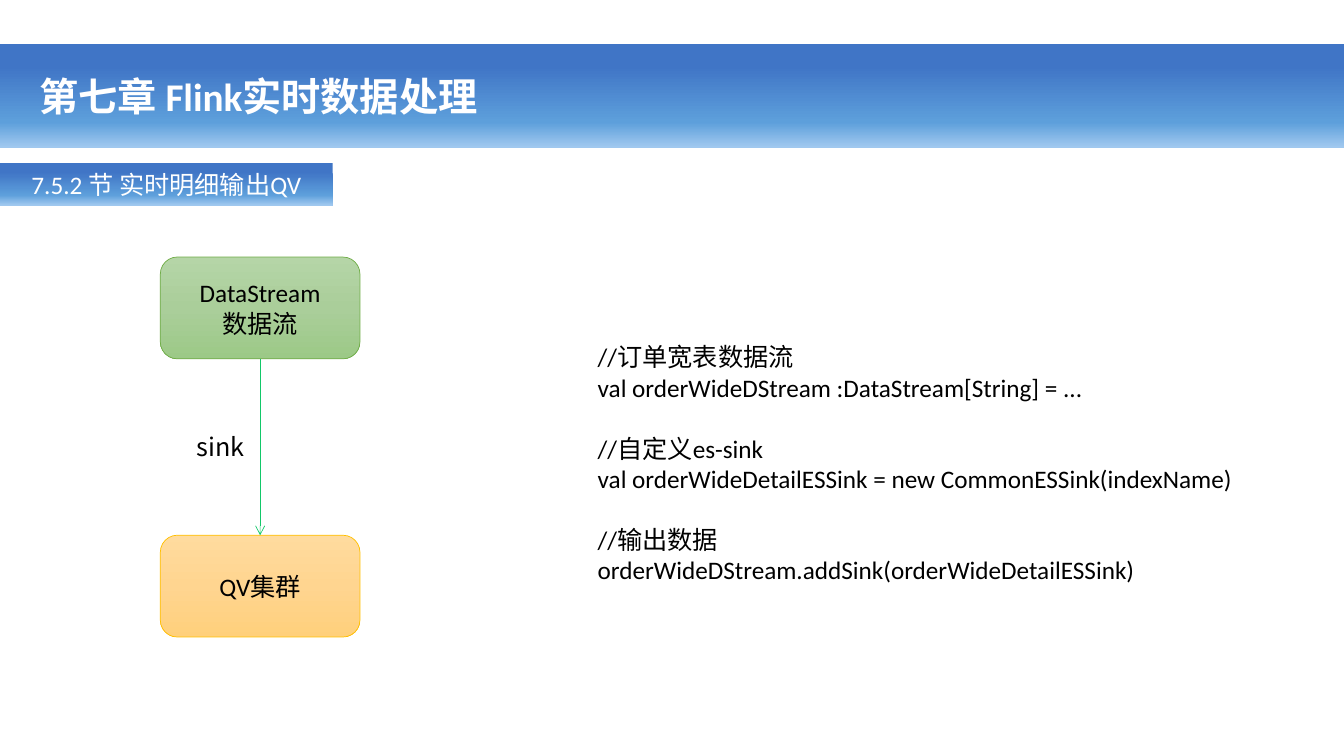
"""Build the slide on sending real-time order details from a stream to a cluster."""
from lxml import etree
from pptx import Presentation
from pptx.dml.color import RGBColor
from pptx.enum.shapes import MSO_CONNECTOR, MSO_SHAPE
from pptx.enum.text import MSO_ANCHOR, PP_ALIGN
from pptx.oxml.ns import qn
from pptx.util import Inches, Pt

RECT, ROUND = MSO_SHAPE.RECTANGLE, MSO_SHAPE.ROUNDED_RECTANGLE
STRAIGHT = MSO_CONNECTOR.STRAIGHT
LEFT, CENTER = PP_ALIGN.LEFT, PP_ALIGN.CENTER
TOP, MIDDLE = MSO_ANCHOR.TOP, MSO_ANCHOR.MIDDLE
LATIN, HAN = "Calibri", "Noto Sans CJK SC"
COLORS = {"white": "FFFFFF", "black": "000000", "arrow": "12C869",
          "green": "70AD47", "gold": "FFC000"}
BLENDS = {
    "blue": [(21, "4075C6"), (75, "5D9FDB"), (99, "A0C8EF")],
    "green": [(0, "B5D5A7"), (50, "AACE9A"), (100, "9CC987")],
    "gold": [(0, "FFDB9E"), (50, "FFD590"), (100, "FFD07C")],
}


def add_box(kind, place, blend, edge=None):
    """Add a shape with a downward gradient and an optional thin edge."""
    box = slide.shapes.add_shape(kind, *map(Inches, place))
    box.shadow.inherit = False
    box.fill.gradient()
    box.fill.gradient_angle = 270
    stops = box._element.spPr.find(qn("a:gradFill")).find(qn("a:gsLst"))
    for stop in list(stops):
        stops.remove(stop)
    for spot, color in BLENDS[blend]:
        stop = etree.SubElement(stops, qn("a:gs"), pos=str(spot * 1000))
        etree.SubElement(stop, qn("a:srgbClr"), val=color)
    if edge:
        box.line.color.rgb = RGBColor.from_string(COLORS[edge])
        box.line.width = Pt(0.5)
    else:
        box.line.fill.background()
    return box


def write(shape, lines, color="black", size=18, bold=False, align=LEFT,
          anchor=TOP, font=LATIN, gaps=()):
    """Write one paragraph per line, with a gap above the lines in gaps."""
    frame = shape.text_frame
    frame.word_wrap = True
    frame.vertical_anchor = anchor
    for i, line in enumerate(lines):
        para = frame.add_paragraph() if i else frame.paragraphs[0]
        para.alignment = align
        if i in gaps:
            para.space_before = Pt(22)
        run = para.add_run()
        run.text = line
        run.font.size = Pt(size)
        run.font.bold = bold
        run.font.color.rgb = RGBColor.from_string(COLORS[color])
        run.font.name = font
        etree.SubElement(run.font._element, qn("a:ea"), typeface=HAN)


deck = Presentation()
deck.slide_width, deck.slide_height = Inches(13.33), Inches(7.5)
slide = deck.slides.add_slide(deck.slide_layouts[6])

add_box(RECT, (0, 0.44, 13.33, 1.03), "blue")
title = slide.shapes.add_textbox(*map(Inches, (0.29, 0.67, 5.01, 0.57)))
write(title, ["第七章 Flink实时数据处理"], "white", 28, True)

topic = add_box(RECT, (0, 1.62, 3.3, 0.42), "blue")
write(topic, ["7.5.2 节 实时明细输出QV"], "white", align=CENTER, anchor=MIDDLE)

code = slide.shapes.add_textbox(*map(Inches, (5.83, 3.34, 6.53, 2.52)))
write(code, [
    "//订单宽表数据流",
    "val orderWideDStream :DataStream[String] = ...",
    "//自定义es-sink",
    "val orderWideDetailESSink = new CommonESSink(indexName)",
    "//输出数据",
    "orderWideDStream.addSink(orderWideDetailESSink)",
], gaps=(2, 4))

nodes = []
for top, tone, lines in [(2.55, "green", ["DataStream", "数据流"]),
                         (5.31, "gold", ["QV集群"])]:
    node = add_box(ROUND, (1.59, top, 1.98, 1.01), tone, tone)
    write(node, lines, align=CENTER, anchor=MIDDLE)
    nodes.append(node)

stream, store = nodes
arrow = slide.shapes.add_connector(
    STRAIGHT, *map(Inches, (2.58, 3.56, 2.58, 5.31)))
arrow.begin_connect(stream, 2)
arrow.end_connect(store, 0)
arrow.line.color.rgb = RGBColor.from_string(COLORS["arrow"])
arrow.line.width = Pt(0.5)
etree.SubElement(arrow.line._get_or_add_ln(), qn("a:tailEnd"), type="arrow")
etree.SubElement(arrow._element.spPr, qn("a:effectLst"))

label = slide.shapes.add_textbox(*map(Inches, (1.85, 4.23, 0.73, 0.4)))
write(label, ["sink"], font=HAN)

deck.save("out.pptx")
